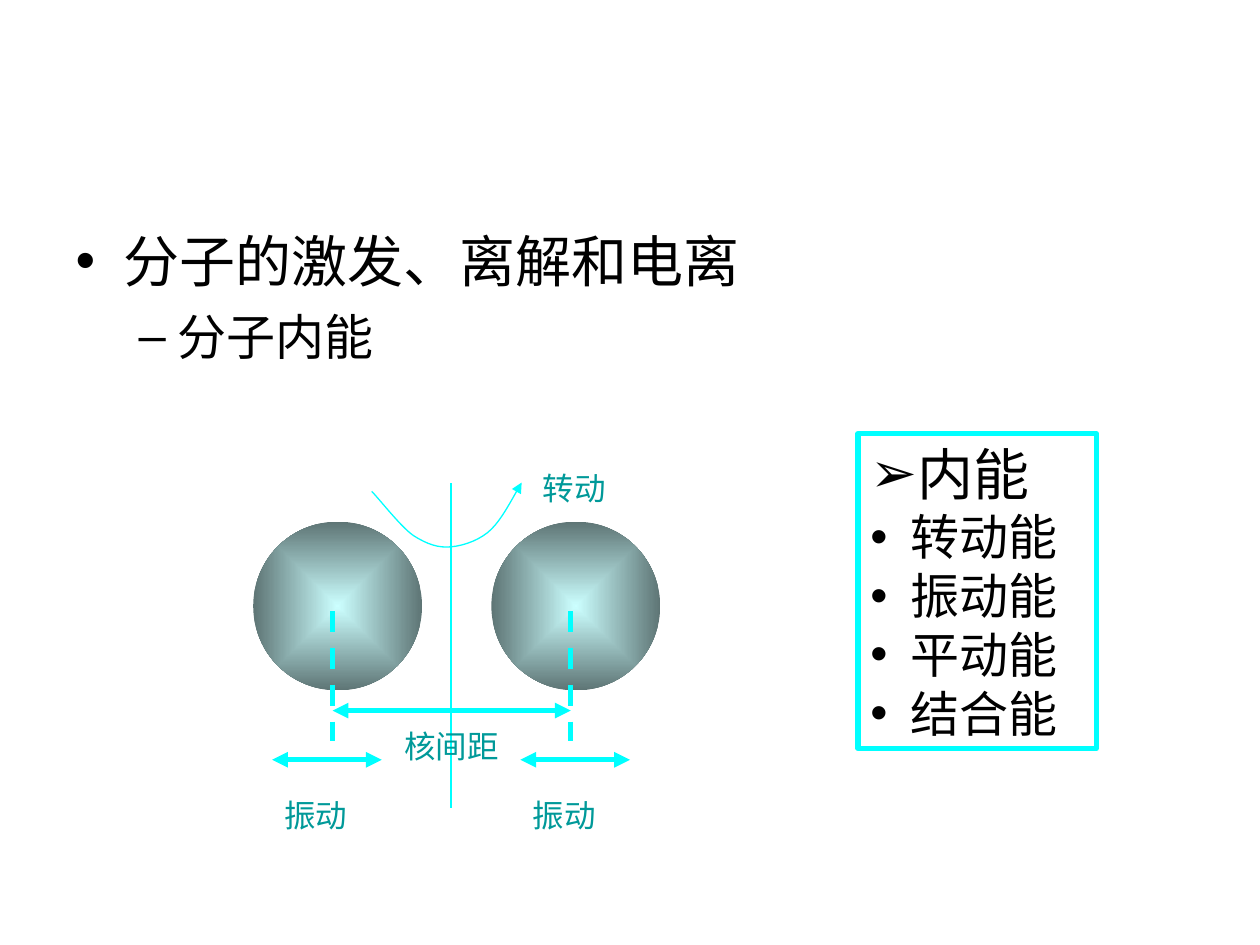
import pptx
import pptx.util
from dataclasses import dataclass
from lxml import etree
from pptx.dml.color import RGBColor
from pptx.enum.dml import MSO_LINE
from pptx.enum.shapes import MSO_CONNECTOR, MSO_SHAPE
from pptx.enum.text import MSO_ANCHOR, MSO_AUTO_SIZE, PP_ALIGN
from pptx.oxml.ns import qn
from pptx.util import Inches


@dataclass(frozen=True)
class Theme:
    font: str = "Arial"
    text: str = "000000"
    label: str = "009999"
    line: str = "00FFFF"
    atom_center: str = "CCFFFF"
    atom_edge: str = "5E7575"
    heading_size: int = 32
    item_size: int = 28
    label_size: int = 18


THEME = Theme()


def add_element(parent, tag, **attributes):
    return etree.SubElement(parent, qn(tag), attributes)


def inches(*values):
    return [Inches(value) for value in values]


def format_paragraph(paragraph, text, size, color, space_before=0):
    paragraph.text = text
    formats = {"alignment": PP_ALIGN.LEFT, "space_before": pptx.util.Pt(space_before)}
    for name, value in formats.items():
        setattr(paragraph, name, value)
    font_formats = {"name": THEME.font, "size": pptx.util.Pt(size)}
    for name, value in font_formats.items():
        setattr(paragraph.font, name, value)
    paragraph.font.color.rgb = RGBColor.from_string(color)


def set_bullet(paragraph, character, left, hanging):
    properties = paragraph._p.get_or_add_pPr()
    properties.set("marL", str(Inches(left)))
    properties.set("indent", str(-Inches(hanging)))
    bullet_color = add_element(properties, "a:buClr")
    add_element(bullet_color, "a:srgbClr", val=THEME.text)
    add_element(properties, "a:buFont", typeface=THEME.font)
    add_element(properties, "a:buChar", char=character)


def fill_list(text_frame, items):
    """Write items of (text, size, bullet, left, hanging, level, space before)."""
    for index, (text, size, bullet, left, hanging, level, space) in enumerate(items):
        paragraph = text_frame.add_paragraph() if index else text_frame.paragraphs[0]
        paragraph.level = level
        set_bullet(paragraph, bullet, left, hanging)
        format_paragraph(paragraph, text, size, THEME.text, space)


def style_line(line, width):
    line.color.rgb = RGBColor.from_string(THEME.line)
    line.width = pptx.util.Pt(width)


def add_line(slide, start, end, width=3, dashed=False, double_arrow=False):
    connector = slide.shapes.add_connector(MSO_CONNECTOR.STRAIGHT, *inches(*start, *end))
    style_line(connector.line, width)
    if dashed:
        connector.line.dash_style = MSO_LINE.DASH
    if double_arrow:
        for tag in ("a:headEnd", "a:tailEnd"):
            add_element(connector.line._get_or_add_ln(), tag, type="triangle")
    add_element(connector._element.spPr, "a:effectLst")


def add_atom(slide, left, top, diameter):
    atom = slide.shapes.add_shape(MSO_SHAPE.OVAL, *inches(left, top, diameter, diameter))
    atom.shadow.inherit = False
    atom.line.fill.background()
    atom.fill.gradient()
    for stop, color in zip(atom.fill.gradient_stops, (THEME.atom_center, THEME.atom_edge)):
        stop.color.rgb = RGBColor.from_string(color)
    gradient = atom._element.spPr.find(qn("a:gradFill"))
    gradient.remove(gradient.find(qn("a:lin")))
    center = add_element(gradient, "a:path", path="rect")
    add_element(center, "a:fillToRect", l="50000", t="50000", r="50000", b="50000")


def add_curved_arrow(slide, start, points):
    """Draw cubic curves; each three points are two controls and an end."""
    builder = slide.shapes.build_freeform(*inches(*start))
    builder.add_line_segments([inches(*point) for point in points], close=False)
    curve = builder.convert_to_shape()
    curve.shadow.inherit = False
    curve.fill.background()
    style_line(curve.line, 0.75)
    add_element(curve.line._get_or_add_ln(), "a:tailEnd", type="triangle")
    segments = list(curve._element.iter(qn("a:lnTo")))
    outline = segments[0].getparent()
    for first in range(0, len(segments), 3):
        cubic = add_element(outline, "a:cubicBezTo")
        for segment in segments[first:first + 3]:
            cubic.append(segment[0])
            outline.remove(segment)


def add_label(slide, text, left, top):
    label = slide.shapes.add_textbox(*inches(left, top, 0.96, 0.4))
    label.text_frame.word_wrap = True
    format_paragraph(label.text_frame.paragraphs[0], text, THEME.label_size, THEME.label)


def add_outline(slide):
    body = slide.placeholders[1]
    position = dict(zip(("left", "top", "width", "height"), inches(0.5, 1.75, 9, 4.95)))
    for name, value in position.items():
        setattr(body, name, value)
    fill_list(body.text_frame, [
        ("分子的激发、离解和电离", THEME.heading_size, "•", 0.38, 0.38, 0, 0),
        ("分子内能", THEME.item_size, "–", 0.81, 0.31, 1, 7),
    ])


def add_molecule(slide):
    atom_spacing, motion_spacing = 1.89, 1.97
    nuclei = [2.64, 2.64 + atom_spacing]
    motions = [2.16, 2.16 + motion_spacing]
    for left in (2.01, 2.01 + atom_spacing):
        add_atom(slide, left, 4.14, 1.34)
    add_line(slide, (nuclei[0], 5.64), (nuclei[1], 5.64), double_arrow=True)
    add_line(slide, (3.58, 6.41), (3.58, 3.83), width=1.5)
    add_curved_arrow(slide, (2.95, 3.9), [
        (3.01, 3.96), (3.18, 4.18), (3.28, 4.25),
        (3.39, 4.32), (3.48, 4.35), (3.58, 4.34),
        (3.69, 4.33), (3.82, 4.28), (3.9, 4.2),
        (3.98, 4.12), (4.11, 3.88), (4.14, 3.83),
    ])
    for left in motions:
        add_line(slide, (left, 6.03), (left + 0.87, 6.03), double_arrow=True)
        add_label(slide, "振动", left, 6.27)
    for nucleus in nuclei:
        add_line(slide, (nucleus, 4.85), (nucleus, 5.88), dashed=True)
    add_label(slide, "核间距", 3.11, 5.72)
    add_label(slide, "转动", 4.21, 3.67)


def add_energy_box(slide):
    box = slide.shapes.add_shape(MSO_SHAPE.RECTANGLE, *inches(6.81, 3.44, 1.89, 2.5))
    box.shadow.inherit = False
    box.fill.background()
    style_line(box.line, 3)
    frame_formats = {
        "word_wrap": True,
        "vertical_anchor": MSO_ANCHOR.TOP,
        "auto_size": MSO_AUTO_SIZE.SHAPE_TO_FIT_TEXT,
    }
    for name, value in frame_formats.items():
        setattr(box.text_frame, name, value)
    energies = ("转动能", "振动能", "平动能", "结合能")
    fill_list(box.text_frame, [
        ("内能", THEME.heading_size, "➢", 0, 0, 0, 0),
        *((energy, THEME.item_size, "•", 0.32, 0.32, 0, 0) for energy in energies),
    ])


def main():
    presentation = pptx.Presentation()
    presentation.slide_width, presentation.slide_height = inches(10, 7.5)
    slide = presentation.slides.add_slide(presentation.slide_layouts[1])
    title = slide.shapes.title._element
    title.getparent().remove(title)
    add_outline(slide)
    add_molecule(slide)
    add_energy_box(slide)
    presentation.save("out.pptx")


if __name__ == "__main__":
    main()
